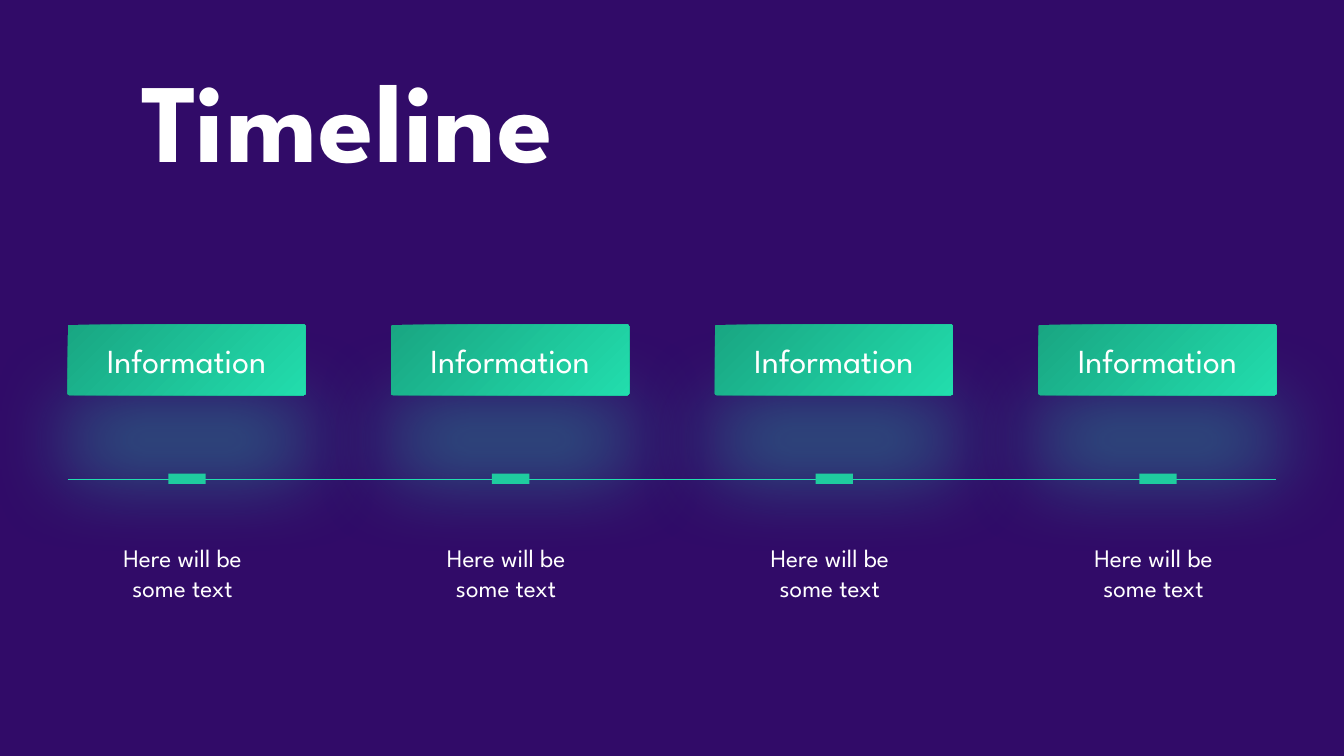
from lxml import etree
from pptx import Presentation
from pptx.dml.color import RGBColor
from pptx.enum.shapes import MSO_CONNECTOR, MSO_SHAPE
from pptx.enum.text import MSO_ANCHOR, MSO_AUTO_SIZE, PP_ALIGN
from pptx.oxml import parse_xml
from pptx.oxml.ns import nsdecls, qn
from pptx.util import Inches, Pt

STRAIGHT = MSO_CONNECTOR.STRAIGHT
RECT, ROUNDED = MSO_SHAPE.RECTANGLE, MSO_SHAPE.ROUNDED_RECTANGLE
TOP, MIDDLE = MSO_ANCHOR.TOP, MSO_ANCHOR.MIDDLE
GROW = MSO_AUTO_SIZE.SHAPE_TO_FIT_TEXT
CENTER = PP_ALIGN.CENTER

PURPLE = RGBColor(0x31, 0x0B, 0x68)
DARK_GREEN = RGBColor(0x19, 0xA6, 0x82)
GREEN = RGBColor(0x1F, 0xC9, 0x9D)
MINT = RGBColor(0x22, 0xDD, 0xAD)
WHITE = RGBColor(0xFF, 0xFF, 0xFF)
FONT = "League Spartan"

# Column grid of the timeline, in inches
STEP = 3.21
CARD_W, CARD_H = 2.36, 0.7
STEPS = [("Information", "Here will be some text")] * 4


def inches(*lengths):
    return [Inches(v) for v in lengths]


def write(tf, text, size, anchor=TOP, bold=False):
    tf.text = text
    tf.word_wrap = True
    tf.vertical_anchor = anchor
    p = tf.paragraphs[0]
    p.alignment = CENTER
    r = p.runs[0]
    r.font.name = FONT
    r.font.size = Pt(size)
    r.font.bold = bold
    r.font.color.rgb = WHITE
    return r


def add_glow(sp):
    """Blurred mint shadow below a shape."""
    effects = parse_xml(
        f'<a:effectLst {nsdecls("a")}>'
        f'<a:outerShdw blurRad="{Pt(60)}" dist="{Pt(57)}" dir="5400000" '
        f'algn="t" rotWithShape="0"><a:srgbClr val="{MINT}">'
        '<a:alpha val="40000"/></a:srgbClr></a:outerShdw></a:effectLst>')
    sp.shadow.inherit = False
    spPr = sp._element.spPr
    spPr.replace(spPr.find(qn("a:effectLst")), effects)


def add_title(s, text, left, top, width, height):
    sp = s.shapes.title
    sp.left, sp.top, sp.width, sp.height = inches(left, top, width, height)
    r = write(sp.text_frame, text, 80, bold=True)
    r._r.get_or_add_rPr().set("spc", "100")
    sp.text_frame.auto_size = GROW


def add_axis(s, left, y, width):
    line = s.shapes.add_connector(STRAIGHT, *inches(left, y, left + width, y))
    line.line.color.rgb = MINT
    line.line.width = Pt(1)
    etree.SubElement(line._element.spPr, qn("a:effectLst"))


def add_step(s, heading, detail, left, top):
    # Marker on the axis
    marker = s.shapes.add_shape(RECT, *inches(left + 1, top + 1.48, 0.37, 0.1))
    marker.shadow.inherit = False
    marker.fill.solid()
    marker.fill.fore_color.rgb = GREEN
    marker.line.fill.background()

    # Detail below the axis
    box = s.shapes.add_textbox(*inches(left + 0.38, top + 2.11, 1.52, 0.7))
    write(box.text_frame, detail, 18)
    box.text_frame.auto_size = GROW

    # Heading card
    card = s.shapes.add_shape(ROUNDED, *inches(left, top, CARD_W, CARD_H))
    card.adjustments[0] = 0.026
    card.fill.gradient()
    card.fill.gradient_angle = 315
    for stop, color in zip(card.fill.gradient_stops, (DARK_GREEN, MINT)):
        stop.color.rgb = color
    card.line.fill.background()
    add_glow(card)
    write(card.text_frame, heading, 24, MIDDLE)


def add_timeline(s, steps, left, top):
    width = STEP * (len(steps) - 1) + CARD_W
    add_axis(s, left, top + 1.54, width)
    for i, (heading, detail) in enumerate(steps):
        add_step(s, heading, detail, left + i * STEP, top)


def main():
    prs = Presentation()
    prs.slide_width, prs.slide_height = inches(13.33, 7.5)
    s = prs.slides.add_slide(prs.slide_layouts[5])
    s.background.fill.solid()
    s.background.fill.fore_color.rgb = PURPLE
    add_title(s, "Timeline", 1.09, 0.45, 4.72, 1.45)
    add_timeline(s, STEPS, 0.67, 3.22)
    prs.save("out.pptx")


if __name__ == "__main__":
    main()
